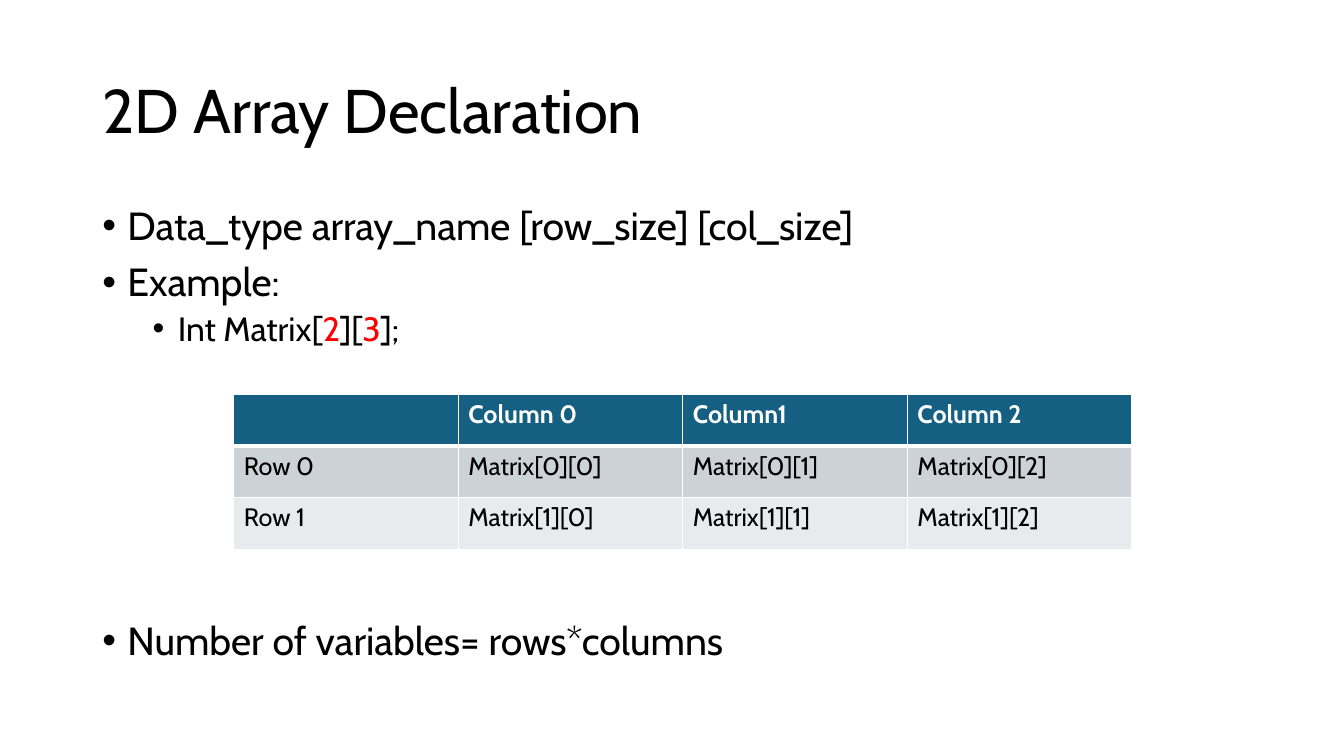
from pptx import Presentation
from pptx.dml.color import RGBColor
from pptx.enum.text import MSO_ANCHOR, MSO_AUTO_SIZE, PP_ALIGN
from pptx.oxml import parse_xml
from pptx.oxml.ns import nsdecls
from pptx.util import Pt

BLACK = RGBColor(0x00, 0x00, 0x00)
WHITE = RGBColor(0xFF, 0xFF, 0xFF)
RED = RGBColor(0xFF, 0x00, 0x00)
TEAL = RGBColor(0x15, 0x60, 0x82)
BAND_DARK = RGBColor(0xCC, 0xD2, 0xD8)
BAND_LIGHT = RGBColor(0xE8, 0xEA, 0xED)

BULLETS = [
    (["Data_type array_name [row_size] [col_size]"], 0, 10),
    (["Example:"], 0, 10),
    (["Int Matrix[", ("2", RED), "][", ("3", RED), "];"], 1, 5),
    (["Number of variables= rows*columns"], 0, 195),
]
ROWS = [["", "Column 0", "Column1", "Column 2"]] + [
    [f"Row {i}"] + [f"Matrix[{i}][{j}]" for j in range(3)] for i in range(2)
]


def add_run(p, text, size=18, color=BLACK, bold=False, font="Cabin"):
    r = p.add_run()
    r.text = text
    r.font.name = font
    r.font.size = Pt(size)
    r.font.bold = bold
    r.font.color.rgb = color


class Deck:
    """Hold the style and the current slide, and add elements measured in points."""

    def __init__(self, width, height):
        self.prs = Presentation()
        self.prs.slide_width, self.prs.slide_height = Pt(width), Pt(height)
        self.slide = self.prs.slides.add_slide(self.prs.slide_layouts[5])

    def title(self, text, left, top, width, height):
        sp = self.slide.shapes.title
        sp.left, sp.top, sp.width, sp.height = map(Pt, (left, top, width, height))
        tf = sp.text_frame
        tf.auto_size = MSO_AUTO_SIZE.NONE
        tf.vertical_anchor = MSO_ANCHOR.MIDDLE
        p = tf.paragraphs[0]
        p.alignment = PP_ALIGN.LEFT
        p.line_spacing = 0.9
        add_run(p, text, size=44)

    def bullets(self, items, left, top, width, height):
        sp = self.slide.shapes.add_textbox(*map(Pt, (left, top, width, height)))
        tf = sp.text_frame
        tf.word_wrap = True
        for i, (parts, level, gap) in enumerate(items):
            p = tf.add_paragraph() if i else tf.paragraphs[0]
            p.level = level
            p.line_spacing = 0.9
            p.space_before = Pt(gap)
            pPr = p._p.get_or_add_pPr()
            pPr.set("marL", str(Pt(18 + 36 * level)))
            pPr.set("indent", str(Pt(-18)))
            pPr.append(parse_xml(f'<a:buFont {nsdecls("a")} typeface="Arial"/>'))
            pPr.append(parse_xml(f'<a:buChar {nsdecls("a")} char="•"/>'))
            for part in parts:
                text, color = (part, BLACK) if isinstance(part, str) else part
                add_run(p, text, size=28 - 4 * level, color=color)

    def table(self, rows, left, top, width, height):
        frame = self.slide.shapes.add_table(
            len(rows), len(rows[0]), *map(Pt, (left, top, width, height)))
        fills = [TEAL, BAND_DARK, BAND_LIGHT]
        for i, (row, fill) in enumerate(zip(rows, fills)):
            for j, text in enumerate(row):
                cell = frame.table.cell(i, j)
                self.borders(cell, top=3 if i == 1 else 1, bottom=3 if i == 0 else 1)
                cell.fill.solid()
                cell.fill.fore_color.rgb = fill
                if text:
                    add_run(cell.text_frame.paragraphs[0], text,
                            color=BLACK if i else WHITE, bold=i == 0)

    def borders(self, cell, top, bottom):
        tcPr = cell._tc.get_or_add_tcPr()
        for side, weight in (("L", 1), ("R", 1), ("T", top), ("B", bottom)):
            tcPr.append(parse_xml(
                f'<a:ln{side} {nsdecls("a")} w="{Pt(weight)}"><a:solidFill>'
                f'<a:srgbClr val="{WHITE}"/></a:solidFill></a:ln{side}>'))


def main():
    deck = Deck(960, 540)
    deck.title("2D Array Declaration", 66, 28.75, 828, 104.4)
    deck.bullets(BULLETS, 66, 144, 828, 342.6)
    deck.table(ROWS, 167, 281.6, 641.6, 110.7)
    deck.prs.save("out.pptx")


if __name__ == "__main__":
    main()
